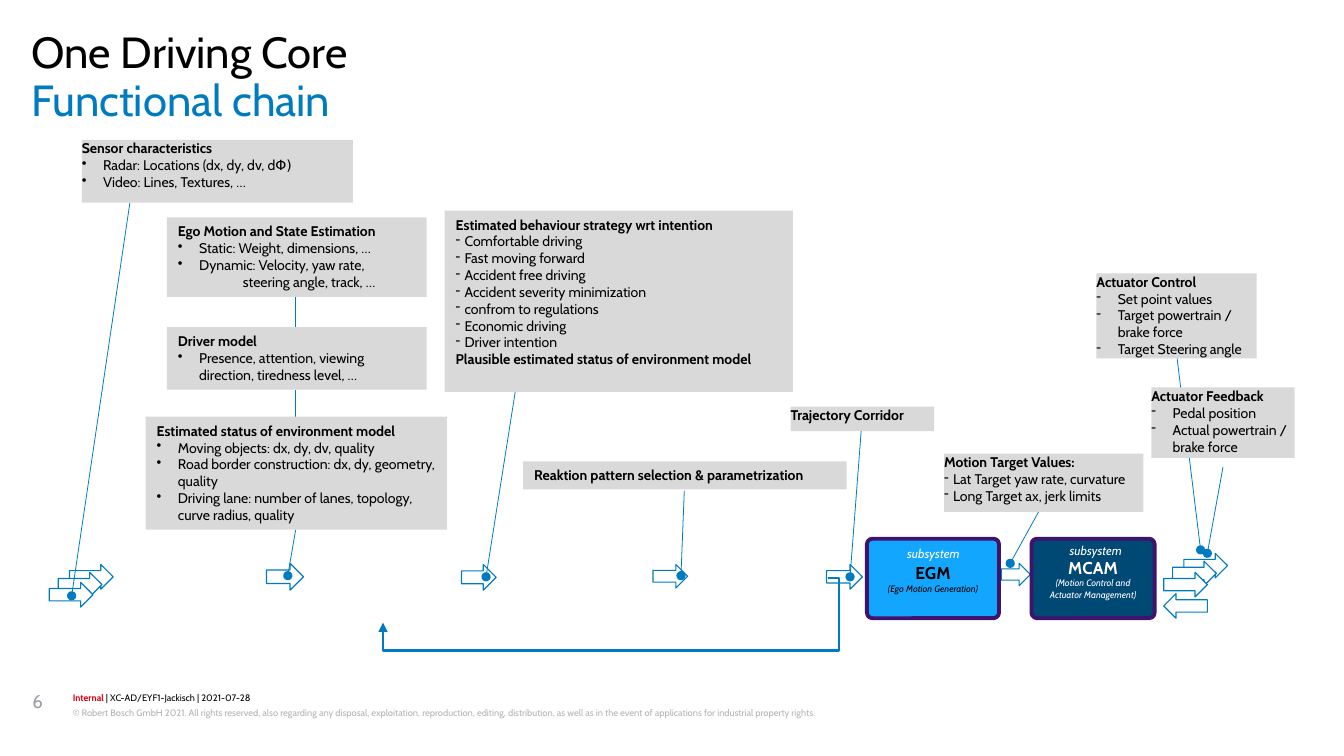
from lxml.etree import SubElement
from pptx import Presentation
from pptx.dml.color import RGBColor
from pptx.enum.shapes import MSO_CONNECTOR, MSO_SHAPE
from pptx.enum.text import MSO_ANCHOR, PP_ALIGN
from pptx.oxml.ns import qn
from pptx.util import Inches, Pt

BLACK = RGBColor(0x00, 0x00, 0x00)
WHITE = RGBColor(0xFF, 0xFF, 0xFF)
BLUE = RGBColor(0x00, 0x7B, 0xC0)
RED = RGBColor(0xD7, 0x00, 0x12)
NOTE_GRAY = RGBColor(0xD9, 0xD9, 0xD9)
NUMBER_GRAY = RGBColor(0x99, 0x9F, 0xA6)
LEGAL_GRAY = RGBColor(0xB2, 0xB3, 0xB5)
PURPLE = RGBColor(0x3F, 0x13, 0x6C)
LIGHT_BLUE = RGBColor(0x13, 0xA6, 0xFF)
DARK_BLUE = RGBColor(0x00, 0x49, 0x75)


class ChainSlide:
    """Hold the style and the current slide of the functional chain."""

    font_name = "Cabin"

    def __init__(self, slide):
        self.slide = slide

    def prepare_frame(self, shape, horizontal=0, vertical=0, anchor=MSO_ANCHOR.TOP):
        frame = shape.text_frame
        frame.word_wrap = True
        frame.vertical_anchor = anchor
        frame.margin_left = frame.margin_right = Inches(horizontal)
        frame.margin_top = frame.margin_bottom = Inches(vertical)
        return frame

    def add_paragraph(self, frame, text, size=9, color=BLACK, bold=False, italic=False,
                      left=0, mark=None, align=PP_ALIGN.LEFT, spacing=None):
        paragraph = frame.add_paragraph() if frame.text else frame.paragraphs[0]
        paragraph.text = text
        paragraph.alignment = align
        if spacing:
            paragraph.line_spacing = spacing
        properties = paragraph._p.get_or_add_pPr()
        if left:
            properties.set("marL", str(Inches(left)))
            properties.set("indent", str(-Inches(left) if mark else 0))
        if mark:
            SubElement(properties, qn("a:buChar")).set("char", mark)
        font = paragraph.font
        font.name, font.size, font.bold, font.italic = self.font_name, Pt(size), bold, italic
        font.color.rgb = color
        return paragraph

    def title(self, box, text):
        shape = self.slide.shapes.title
        shape.left, shape.top, shape.width, shape.height = map(Inches, box)
        frame = self.prepare_frame(shape)
        self.add_paragraph(frame, text, size=28, color=BLUE, spacing=0.89)

    def label(self, box, text, **style):
        shape = self.slide.shapes.add_textbox(*map(Inches, box))
        return self.add_paragraph(self.prepare_frame(shape), text, **style)

    def shape(self, kind, box, fill=None, line=None, weight=0.75):
        shape = self.slide.shapes.add_shape(kind, *map(Inches, box))
        shape.shadow.inherit = False
        if fill is None:
            shape.fill.background()
        else:
            shape.fill.solid()
            shape.fill.fore_color.rgb = fill
        if line is None:
            shape.line.fill.background()
        else:
            shape.line.color.rgb = line
            shape.line.width = Pt(weight)
        return shape

    def note(self, box, heading, items=(), mark="•", left=0.19, padded=False):
        shape = self.shape(MSO_SHAPE.RECTANGLE, box, NOTE_GRAY)
        insets = (0.1, 0.05) if padded else (0, 0)
        frame = self.prepare_frame(shape, *insets)
        self.add_paragraph(frame, heading, bold=True)
        for item in items:
            self.add_paragraph(frame, item, mark=mark, left=left)
        return frame

    def arrow(self, box, fill=None, rotation=0):
        shape = self.shape(MSO_SHAPE.RIGHT_ARROW, box, fill, BLUE)
        shape.rotation = rotation

    def connector(self, start, end, kind=MSO_CONNECTOR.STRAIGHT, weight=0.5, head=None, tail=None):
        connector = self.slide.shapes.add_connector(kind, *map(Inches, start + end))
        connector.line.color.rgb = BLUE
        connector.line.width = Pt(weight)
        line = connector.line._get_or_add_ln()
        for tag, end_type in (("a:headEnd", head), ("a:tailEnd", tail)):
            if end_type:
                SubElement(line, qn(tag)).set("type", end_type)
        SubElement(connector._element.spPr, qn("a:effectLst"))
        return connector

    def feedback_loop(self, start, end, adjustments):
        connector = self.connector(start, end, MSO_CONNECTOR.ELBOW, weight=1.5, tail="triangle")
        geometry = connector._element.spPr.find(qn("a:prstGeom"))
        geometry.set("prst", "bentConnector4")
        values = geometry.find(qn("a:avLst"))
        if values is None:
            values = SubElement(geometry, qn("a:avLst"))
        for number, value in enumerate(adjustments, 1):
            guide = SubElement(values, qn("a:gd"))
            guide.set("name", f"adj{number}")
            guide.set("fmla", f"val {value}")

    def subsystem(self, box, fill, color, name, meaning, label_box):
        shape = self.shape(MSO_SHAPE.ROUNDED_RECTANGLE, box, fill, PURPLE, 2.5)
        shape.adjustments[0] = 0.07
        frame = self.prepare_frame(shape, 0.1, 0.05, MSO_ANCHOR.MIDDLE)
        self.add_paragraph(frame, name, size=11, color=color, bold=True, align=PP_ALIGN.CENTER)
        self.add_paragraph(frame, meaning, size=6, color=color, italic=True, align=PP_ALIGN.CENTER)
        self.label(label_box, "subsystem", size=8, color=WHITE, italic=True)


def main():
    presentation = Presentation()
    presentation.slide_width, presentation.slide_height = Inches(12), Inches(6.75)
    chain = ChainSlide(presentation.slides.add_slide(presentation.slide_layouts[5]))

    chain.title((0.28, 0.71, 11.43, 0.43), "Functional chain")
    chain.label((0.28, 0.28, 11.43, 0.43), "One Driving Core", size=28, spacing=0.89)
    chain.label((0.29, 6.16, 0.32, 0.45), "6", size=12, color=NUMBER_GRAY)
    footer = chain.label((0.65, 6.17, 10.01, 0.12), "Internal", size=6, spacing=1.07)
    footer.runs[0].font.bold = True
    footer.runs[0].font.color.rgb = RED
    footer.add_run().text = " | XC-AD/EYF1-Jackisch | 2021-07-28"
    chain.label(
        (0.65, 6.29, 10.01, 0.24),
        "© Robert Bosch GmbH 2021. All rights reserved, also regarding any disposal, exploitation, "
        "reproduction, editing, distribution, as well as in the event of applications for "
        "industrial property rights.",
        size=6, color=LEGAL_GRAY, spacing=1.2)

    for box in ((2.38, 5.03, 0.33, 0.24), (4.12, 5.04, 0.31, 0.23), (5.83, 5.04, 0.31, 0.21),
                (7.38, 5.04, 0.32, 0.22), (8.94, 5.03, 0.26, 0.2)):
        chain.arrow(box)
    for stack in (((0.62, 5.04), (0.52, 5.11), (0.44, 5.2)),
                  ((10.57, 4.94), (10.47, 5.01), (10.39, 5.11))):
        for index, corner in enumerate(stack):
            chain.arrow(corner + (0.39, 0.22), WHITE if index else None)
    chain.arrow((10.39, 5.3, 0.39, 0.22), WHITE, rotation=180)

    for start, end in (((0.64, 5.32), (1.16, 1.81)), ((2.57, 5.14), (2.64, 4.73)),
                       ((4.34, 5.15), (4.6, 3.5)), ((6.08, 5.14), (6.11, 4.38)),
                       ((7.59, 5.15), (7.69, 3.84)), ((9.02, 5.03), (9.4, 4.34)),
                       ((10.72, 4.91), (10.51, 3.2)), ((10.78, 4.94), (10.92, 4.17))):
        chain.connector(start, end, head="oval")
    for top, bottom in ((2.64, 2.92), (3.48, 3.72)):
        chain.connector((2.64, top), (2.64, bottom))
    chain.feedback_loop((7.39, 5.16), (3.42, 5.56), (-2600, 162000))

    sensors = chain.note((0.73, 1.25, 2.42, 0.56), "Sensor characteristics",
                         ("Radar: Locations (dx, dy, dv, d", "Video: Lines, Textures, …"))
    angle = sensors.paragraphs[1].add_run()
    angle.text = "Φ)"
    angle.font.name = "DejaVu Sans"
    ego_motion = chain.note((1.49, 1.94, 2.32, 0.71), "Ego Motion and State Estimation",
                            ("Static: Weight, dimensions, …", "Dynamic: Velocity, yaw rate,"),
                            padded=True)
    chain.add_paragraph(ego_motion, "steering angle, track, …", left=0.58)
    chain.note((1.49, 2.92, 2.32, 0.56), "Driver model",
               ("Presence, attention, viewing direction, tiredness level, …",), padded=True)
    chain.note((1.3, 3.72, 2.69, 1.01), "Estimated status of environment model",
               ("Moving objects: dx, dy, dv, quality",
                "Road border construction: dx, dy, geometry, quality",
                "Driving lane: number of lanes, topology,\ncurve radius, quality"), padded=True)
    behaviour = chain.note((3.97, 1.88, 3.11, 1.62), "Estimated behaviour strategy wrt intention",
                           ("Comfortable driving", "Fast moving forward", "Accident free driving",
                            "Accident severity minimization", "confrom to regulations",
                            "Economic driving", "Driver intention"),
                           mark="-", left=0.08, padded=True)
    chain.add_paragraph(behaviour, "Plausible estimated status of environment model", bold=True)
    chain.note((4.67, 4.12, 2.89, 0.25), "Reaktion pattern selection & parametrization", padded=True)
    chain.note((7.06, 3.63, 1.28, 0.22), "Trajectory Corridor")
    chain.note((8.43, 4.05, 1.78, 0.52), "Motion Target Values:",
               ("Lat Target yaw rate, curvature", "Long Target ax, jerk limits"),
               mark="-", left=0.08)
    chain.note((9.79, 2.44, 1.43, 0.76), "Actuator Control",
               ("Set point values", "Target powertrain /\nbrake force", "Target Steering angle"),
               mark="-")
    chain.note((10.28, 3.46, 1.28, 0.63), "Actuator Feedback",
               ("Pedal position", "Actual powertrain /\nbrake force"), mark="-")

    chain.subsystem((7.74, 4.81, 1.18, 0.71), LIGHT_BLUE, BLACK, "EGM",
                    "(Ego Motion Generation)", (8.1, 4.88, 0.54, 0.13))
    chain.subsystem((9.21, 4.81, 1.1, 0.71), DARK_BLUE, WHITE, "MCAM",
                    "(Motion Control and Actuator Management)", (9.55, 4.85, 0.54, 0.16))
    presentation.save("out.pptx")


if __name__ == "__main__":
    main()
